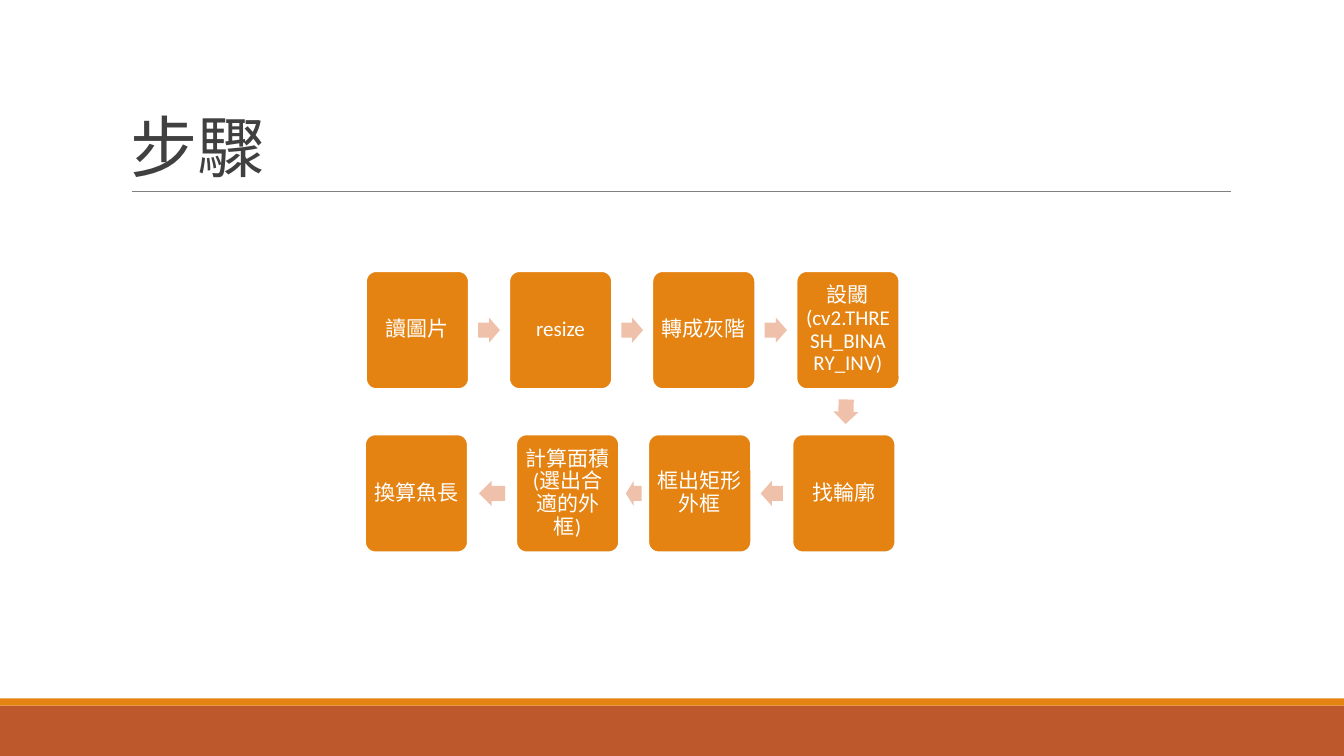
from math import atan2, degrees, hypot
from pptx import Presentation
from pptx.dml.color import RGBColor
from pptx.enum.shapes import MSO_CONNECTOR, MSO_SHAPE
from pptx.enum.text import MSO_ANCHOR, PP_ALIGN
from pptx.util import Inches, Pt
from lxml import etree

BOX, ROUND, ARROW = MSO_SHAPE.RECTANGLE, MSO_SHAPE.ROUNDED_RECTANGLE, MSO_SHAPE.RIGHT_ARROW
LINE = MSO_CONNECTOR.STRAIGHT
LEFT, CENTER = PP_ALIGN.LEFT, PP_ALIGN.CENTER
MIDDLE, BOTTOM = MSO_ANCHOR.MIDDLE, MSO_ANCHOR.BOTTOM

WIDE, HIGH = 13.33, 7.5
FONT = "Calibri"
ORANGE, RUST, PEACH, WHITE = "E48312", "BD582C", "EFC1AB", "FFFFFF"
DARK, GREY = "404040", "808080"
TITLE = "步驟"
ROWS = (2.69, 4.31)
STEPS = [
    ("讀圖片", 3.63, 0),
    ("resize", 5.05, 0),
    ("轉成灰階", 6.47, 0),
    ("設閾(cv2.THRESH_BINARY_INV)", 7.9, 0),
    ("找輪廓", 7.86, 1),
    ("框出矩形外框", 6.43, 1),
    ("計算面積(選出合適的外框)", 5.12, 1),
    ("換算魚長", 3.62, 1),
]
STEP_W, STEP_H = 1.02, 1.17
ARROW_H, ARROW_SHARE = 0.25, 0.54
BANDS = [(7, 0.5, RUST), (6.93, 0.07, ORANGE)]

deck = Presentation()
deck.slide_width, deck.slide_height = Inches(WIDE), Inches(HIGH)
slide = deck.slides.add_slide(deck.slide_layouts[6])
shapes = slide.shapes


def color(code):
    return RGBColor.from_string(code)


def add_shape(kind, x, y, w, h, fill, edge=None, adjust=()):
    shape = shapes.add_shape(kind, Inches(x), Inches(y), Inches(w), Inches(h))
    shape.shadow.inherit = False
    shape.fill.solid()
    shape.fill.fore_color.rgb = color(fill)
    if edge:
        shape.line.color.rgb = color(edge)
        shape.line.width = Pt(1.25)
    else:
        shape.line.fill.background()
    for i, value in enumerate(adjust):
        shape.adjustments[i] = value
    return shape


def add_text(shape, text, size, ink, align=CENTER, anchor=MIDDLE, pad=None, lead=0.9, space=None):
    frame = shape.text_frame
    frame.word_wrap = True
    frame.vertical_anchor = anchor
    if pad is not None:
        frame.margin_left = frame.margin_right = Inches(pad)
        frame.margin_top = frame.margin_bottom = Inches(pad)
    para = frame.paragraphs[0]
    para.alignment = align
    para.line_spacing = lead
    run = para.add_run()
    run.text = text
    run.font.name = FONT
    run.font.size = Pt(size)
    run.font.color.rgb = color(ink)
    if space is not None:
        run.font._element.set("spc", str(space))


for top, height, fill in BANDS:
    add_shape(BOX, 0, top, WIDE, height, fill)

rule = shapes.add_connector(LINE, Inches(1.31), Inches(1.9), Inches(12.21), Inches(1.9))
rule.line.color.rgb = color(GREY)
rule.line.width = Pt(0.5)
props = rule._element.spPr
etree.SubElement(props, props.tag.replace("}spPr", "}effectLst").replace("presentationml", "drawingml"))

head = shapes.add_textbox(Inches(1.2), Inches(0.31), Inches(11), Inches(1.59))
add_text(head, TITLE, 48, DARK, align=LEFT, anchor=BOTTOM, lead=0.85, space=-50)

for label, left, row in STEPS:
    step = add_shape(ROUND, left, ROWS[row], STEP_W, STEP_H, ORANGE, edge=WHITE, adjust=(0.1,))
    add_text(step, label, 15, WHITE, pad=0.06)
    step.text_frame.margin_left = step.text_frame.margin_right = Inches(0.06)

for (_, x1, row1), (_, x2, row2) in zip(STEPS, STEPS[1:]):
    y1, y2 = ROWS[row1], ROWS[row2]
    dx, dy = x2 - x1, y2 - y1
    gap = hypot(dx, dy) - (STEP_W if row1 == row2 else STEP_H)
    width = ARROW_SHARE * gap
    mid_x, mid_y = (x1 + x2 + STEP_W) / 2, (y1 + y2 + STEP_H) / 2
    arrow = add_shape(ARROW, mid_x - width / 2, mid_y - ARROW_H / 2, width, ARROW_H, PEACH, adjust=(0.6, 0.5))
    arrow.rotation = degrees(atan2(dy, dx))

deck.save("out.pptx")
